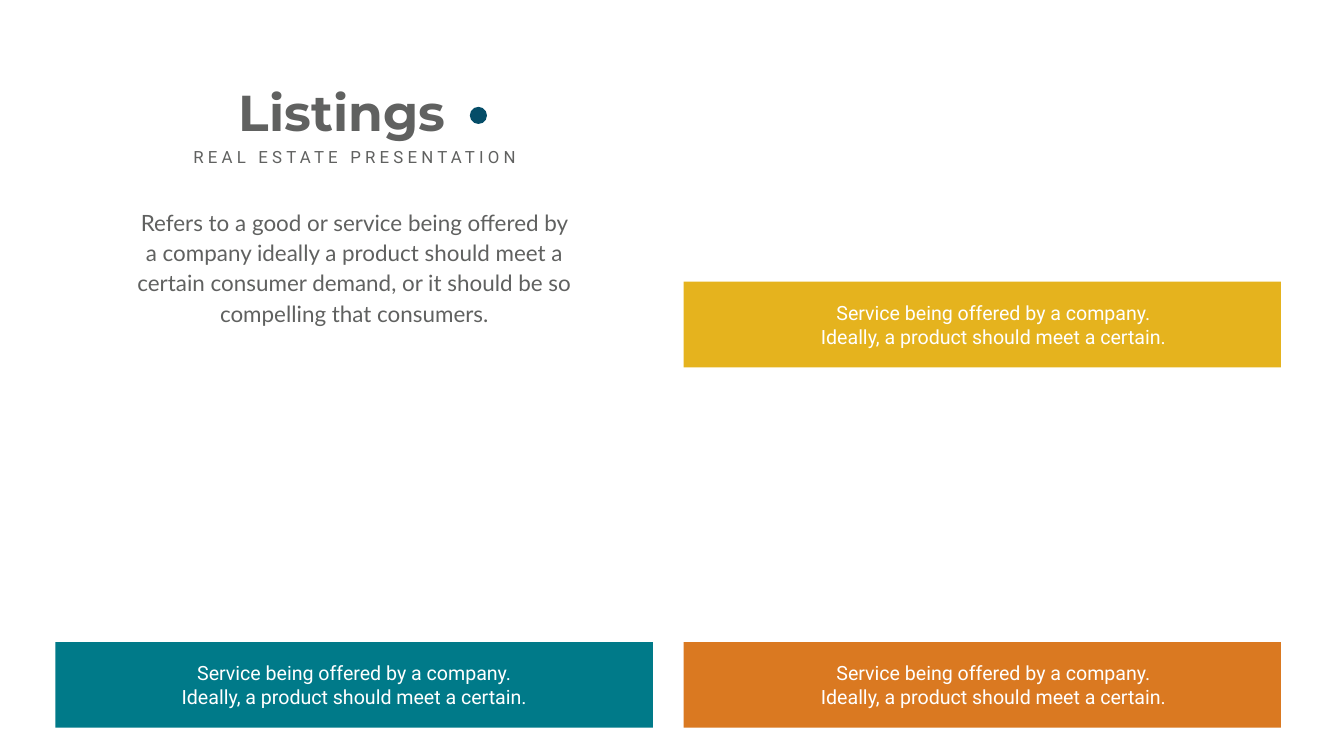
from pptx import Presentation
from pptx.dml.color import RGBColor
from pptx.enum.shapes import MSO_SHAPE as Kind
from pptx.enum.text import PP_ALIGN as Align, MSO_AUTO_SIZE as Fit
from pptx.util import Inches, Pt

# Content
TITLE = "Listings"
SUB = "REAL ESTATE PRESENTATION"
BODY = ("Refers to a good or service being offered by a company ideally a product "
        "should meet a certain consumer demand, or it should be so compelling "
        "that consumers.")
NOTE = "Service being offered by a company. Ideally, a product should meet a certain."
BARS = [("teal", 0, 1), ("gold", 1, 0), ("rust", 1, 1)]  # colour, column, row

# Theme: colours, and (font, size, colour, bold, spacing) for each text style
THEME = {
    "white": "FFFFFF", "gray": "606160", "navy": "054D68",
    "teal": "007A89", "gold": "E5B31E", "rust": "DA7921",
    "title": ("Montserrat", 72, "gray", True, 0),
    "sub": ("Roboto", 24, "gray", False, 6),
    "body": ("Lato", 32, "gray", False, 0),
    "note": ("Roboto", 28, "white", False, 0),
}

# Grid
BAR_W, BAR_H = 11.85, 1.7
COLS, ROWS = (1.1, 13.56), (5.59, 12.74)
NOTE_X, NOTE_DY = (3.32, 16), 0.26
WIDE, SLIM = (0.24, 0.12), (0.1, 0.05)  # side and top insets


def tint(name):
    return RGBColor.from_string(THEME[name])


def add_text(slide, text, style, box, pad=WIDE, lead=None):
    font, size, color, bold, gap = THEME[style]
    frame = slide.shapes.add_textbox(*map(Inches, box)).text_frame
    frame.word_wrap = True
    frame.auto_size = Fit.SHAPE_TO_FIT_TEXT
    frame.margin_left = frame.margin_right = Inches(pad[0])
    frame.margin_top = frame.margin_bottom = Inches(pad[1])
    para = frame.paragraphs[0]
    para.alignment = Align.CENTER
    if lead:
        para.line_spacing = Pt(lead)
    run = para.add_run()
    run.text = text
    run.font.name, run.font.size, run.font.bold = font, Pt(size), bold
    run.font.color.rgb = tint(color)
    if gap:
        run.font._element.set("spc", str(gap * 100))


def add_fill(slide, kind, color, box):
    shape = slide.shapes.add_shape(kind, *map(Inches, box))
    shape.shadow.inherit = False
    shape.fill.solid()
    shape.fill.fore_color.rgb = tint(color)
    shape.line.fill.background()


def main():
    deck = Presentation()
    deck.slide_width, deck.slide_height = Inches(26.66), Inches(15)
    slide = deck.slides.add_slide(deck.slide_layouts[6])
    slide.background.fill.solid()
    slide.background.fill.fore_color.rgb = tint("white")

    # Heading
    add_text(slide, BODY, "body", (2.43, 3.97, 9.2, 2.6), lead=43)
    add_text(slide, TITLE, "title", (4.35, 1.55, 4.87, 1.31), SLIM)
    add_text(slide, SUB, "sub", (3.53, 2.86, 7.01, 0.5), SLIM)
    add_fill(slide, Kind.OVAL, "navy", (9.32, 2.12, 0.34, 0.34))

    # Bars with their notes
    for color, col, row in BARS:
        top = ROWS[row]
        add_fill(slide, Kind.RECTANGLE, color, (COLS[col], top, BAR_W, BAR_H))
        add_text(slide, NOTE, "note", (NOTE_X[col], top + NOTE_DY, 7.41, 1.18))

    deck.save("out.pptx")


if __name__ == "__main__":
    main()
